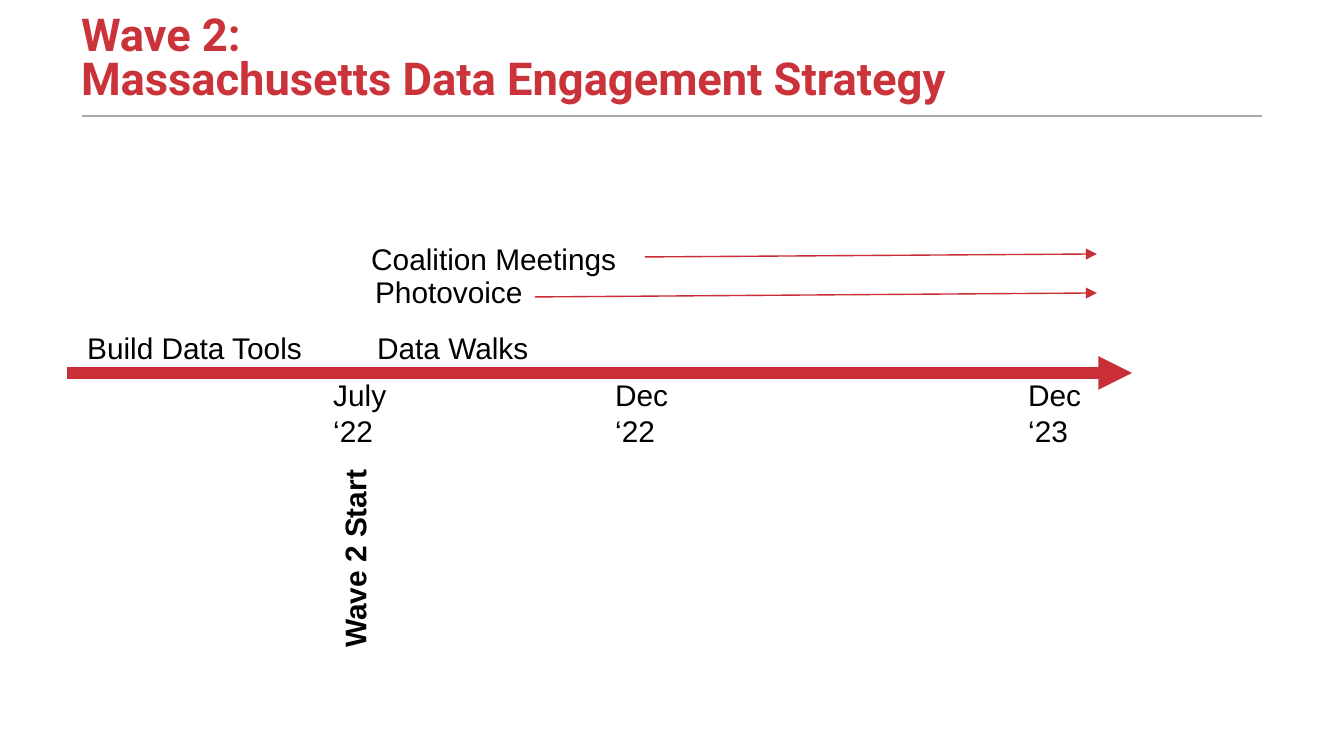
"""Build the Wave 2 data engagement timeline slide."""
from lxml.etree import SubElement
from pptx import Presentation
from pptx.dml.color import RGBColor
from pptx.enum.shapes import MSO_CONNECTOR
from pptx.enum.text import MSO_ANCHOR, MSO_AUTO_SIZE
from pptx.oxml.ns import qn
from pptx.util import Pt

PX = 9144000 / 1344
WIDTH, HEIGHT = 1344, 756
RED, GREY, BLACK = "CA2E36", "A2AAAD", "000000"

TITLE = ["Wave 2: ", "Massachusetts Data Engagement Strategy"]
TITLE_BOX = (81, 56, 996, 48)
DATE_TOP, DATE_HEIGHT, LABEL_HEIGHT = 370, 86, 50
DATES = [("July ‘22", 320, 108), ("Dec ‘22", 602, 121), ("Dec ‘23", 1015, 121)]
ACTIVITIES = [
    ("Data Walks", 364, 323, 191),
    ("Build Data Tools", 74, 323, 298),
    ("Photovoice", 362, 267, 194),
    ("Coalition Meetings", 358, 234, 288),
]
START = ("Wave 2 Start", 251, 532, 208)
RULE = (82, 116, 1262, 116)
TIMELINE = (67, 373, 1132, 373)
ARROWS = [(535, 297, 1097, 293), (645, 257, 1097, 254)]


def emu(*lengths):
    return [round(n * PX) for n in lengths]


def color(value):
    return RGBColor.from_string(value)


def add_text(s, lines, box, size=16, font="Arial", fill=BLACK, bold=False):
    sp = s.shapes.add_textbox(*emu(*box))
    tf = sp.text_frame
    tf.word_wrap = True
    tf.auto_size = MSO_AUTO_SIZE.SHAPE_TO_FIT_TEXT
    p = tf.paragraphs[0]
    for i, line in enumerate(lines):
        if i:
            p.add_line_break()
        p.add_run().text = line
    p.font.size, p.font.name, p.font.bold = Pt(size), font, bold
    p.font.color.rgb = color(fill)
    return sp


def add_line(s, ends, fill, width, arrow=True):
    line = s.shapes.add_connector(MSO_CONNECTOR.STRAIGHT, *emu(*ends))
    line.line.color.rgb = color(fill)
    line.line.width = Pt(width)
    if arrow:
        SubElement(line.line._get_or_add_ln(), qn("a:tailEnd"), type="triangle")
    SubElement(line._element.spPr, qn("a:effectLst"))


def add_title(s):
    sp = add_text(s, TITLE, TITLE_BOX, 24.3, "Roboto", "CB333B", True)
    tf = sp.text_frame
    tf.auto_size = MSO_AUTO_SIZE.NONE
    tf.vertical_anchor = MSO_ANCHOR.BOTTOM
    tf.margin_left = tf.margin_top = tf.margin_right = tf.margin_bottom = 0
    tf.paragraphs[0].line_spacing = 0.8


def main():
    prs = Presentation()
    prs.slide_width, prs.slide_height = emu(WIDTH, HEIGHT)
    s = prs.slides.add_slide(prs.slide_layouts[6])
    add_line(s, RULE, GREY, 1, arrow=False)
    add_title(s)
    add_line(s, TIMELINE, RED, 6)
    for text, left, width in DATES:
        add_text(s, [text], (left, DATE_TOP, width, DATE_HEIGHT))
    text, left, top, width = START
    add_text(s, [text], (left, top, width, LABEL_HEIGHT), bold=True).rotation = 270
    for text, left, top, width in ACTIVITIES:
        add_text(s, [text], (left, top, width, LABEL_HEIGHT))
    for ends in ARROWS:
        add_line(s, ends, RED, 0.75)
    prs.save("out.pptx")


if __name__ == "__main__":
    main()
